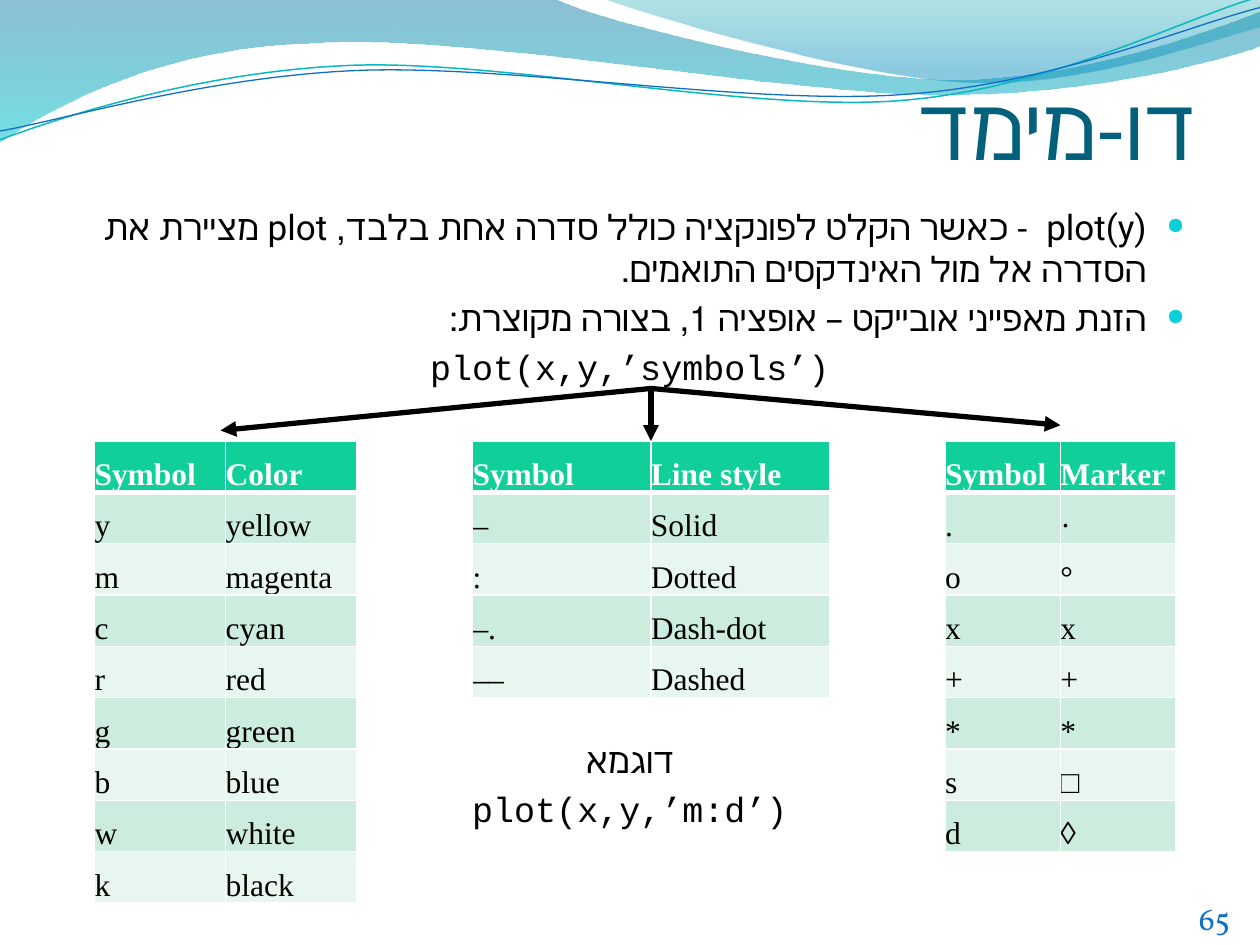
from dataclasses import dataclass

from lxml import etree
from pptx import Presentation
from pptx.dml.color import RGBColor
from pptx.enum.shapes import MSO_CONNECTOR
from pptx.enum.text import MSO_ANCHOR, MSO_AUTO_SIZE, PP_ALIGN
from pptx.oxml.ns import qn
from pptx.util import Emu, Inches, Pt

BOTTOM, NO_FIT = MSO_ANCHOR.BOTTOM, MSO_AUTO_SIZE.NONE
LEFT, CENTER, RIGHT = PP_ALIGN.LEFT, PP_ALIGN.CENTER, PP_ALIGN.RIGHT
STRAIGHT = MSO_CONNECTOR.STRAIGHT

WHITE = RGBColor(0xFF, 0xFF, 0xFF)
BLACK = RGBColor(0x00, 0x00, 0x00)
TITLE_BLUE = RGBColor(0x04, 0x61, 0x7B)
PAGE_BLUE = RGBColor(0x0F, 0x6F, 0xC6)
TEAL = RGBColor(0x0A, 0xB8, 0xBF)
BULLET = RGBColor(0x0B, 0xD0, 0xD9)
HEADER = RGBColor(0x10, 0xCF, 0x9B)
BANDS = (RGBColor(0xCC, 0xED, 0xDE), RGBColor(0xE7, 0xF6, 0xEF))
WAVE_DEEP = RGBColor(0x00, 0x74, 0xA1)
WAVE_LIGHT = RGBColor(0x00, 0xC6, 0xCF)
CREST_DEEP = RGBColor(0x00, 0xA1, 0xA9)
CREST_LIGHT = RGBColor(0x00, 0x8B, 0xBF)

SANS, SERIF, MONO, PAGE_FONT = "Roboto", "Times New Roman", "Courier New", "Vollkorn"
WIDTH, HEIGHT = Inches(10), Inches(7.5)
UNIT = WIDTH / 120  # the slide is a grid of 120 columns by 90 rows
ROW_UNITS = 4.89


@dataclass
class Stop:
    position: float
    color: RGBColor
    opacity: int


@dataclass
class Wave:
    """Points in inches: a pair is a corner, six numbers are a Bezier curve."""
    points: list
    stops: tuple = ()
    line: RGBColor | None = None
    weight: float = 0


@dataclass
class SymbolTable:
    col: float
    width: float
    rows: list


@dataclass
class Line:
    text: str
    font: str = SANS
    align: PP_ALIGN = CENTER
    bullet: bool = False


WAVES = [
    Wave([(0, 0), (4.4, -0.01), (4.76, 0.17, 6.64, 0.63, 7.58, 0.63),
          (8.53, 0.63, 9.58, 0.26, 10, 0.09), (10.01, 0.36),
          (9.83, 0.44, 8.7, 0.76, 7.46, 0.75), (6.22, 0.75, 3.82, 0.28, 2.57, 0.34),
          (1.29, 0.36, 0.46, 0.83, -0.01, 1.13)],
         (Stop(0, WAVE_DEEP, 45), Stop(1, WAVE_LIGHT, 55))),
    Wave([(4.79, -0.01), (5.09, 0.11, 6.82, 0.62, 7.69, 0.65),
          (8.56, 0.69, 9.61, 0.32, 10, 0.21), (10, 0)],
         (Stop(0, CREST_DEEP, 30), Stop(0.8, CREST_LIGHT, 45))),
    Wave([(0, 1.11), (0.48, 0.93, 1.58, 0.57, 2.77, 0.52),
          (3.95, 0.47, 5.93, 0.89, 7.13, 0.8), (8.33, 0.71, 9.38, 0.15, 9.98, -0.02)],
         line=TEAL, weight=0.85),
    Wave([(0, 1.04), (0.47, 0.96, 1.64, 0.61, 2.83, 0.56),
          (4.03, 0.51, 5.97, 0.84, 7.17, 0.75), (8.36, 0.67, 9.41, 0.21, 10, 0.06)],
         line=PAGE_BLUE, weight=0.75),
]
TABLES = [
    SymbolTable(9, 25, [("Symbol", "Color"), ("y", "yellow"), ("m", "magenta"), ("c", "cyan"),
                        ("r", "red"), ("g", "green"), ("b", "blue"), ("w", "white"),
                        ("k", "black")]),
    SymbolTable(45, 34, [("Symbol", "Line style"), ("–", "Solid"), (":", "Dotted"),
                         ("–.", "Dash-dot"), ("––", "Dashed")]),
    SymbolTable(90, 22, [("Symbol", "Marker"), (".", "·"), ("o", "°"), ("x", "x"), ("+", "+"),
                         ("*", "*"), ("s", "□"), ("d", "◊")]),
]
INTRO = [
    Line("plot(y)  - כאשר הקלט לפונקציה כולל סדרה אחת בלבד, plot מציירת את הסדרה "
         "אל מול האינדקסים התואמים.", align=RIGHT, bullet=True),
    Line("הזנת מאפייני אובייקט – אופציה 1, בצורה מקוצרת:", align=RIGHT, bullet=True),
    Line("plot(x,y,’symbols’)", MONO),
]
EXAMPLE = [Line("דוגמא"), Line("plot(x,y,’m:d’)", MONO)]
ARROW_START = (62, 37)
ARROW_ENDS = [(101, 40.5), (62, 42), (21, 41)]


def grid(*units: float) -> list[Emu]:
    return [Emu(round(u * UNIT)) for u in units]


def add_xml(parent, tag: str, **attributes):
    return etree.SubElement(parent, qn(tag), attributes)


def format_paragraph(p, font: str, size: float, color: RGBColor, align=LEFT, bold=False):
    p.alignment = align
    for r in p.runs:
        f = r.font
        f.name, f.size, f.bold, f.color.rgb = font, Pt(size), bold, color


def bend_curves(sp, points: list):
    """Merge each curve's three straight segments into one Bezier segment."""
    segments = iter(list(sp._element.spPr.iter(qn("a:lnTo"))))
    for point in points[1:]:
        segment = next(segments)
        if len(point) == 6:
            segment.tag = qn("a:cubicBezTo")
            for extra in (next(segments), next(segments)):
                segment.append(extra[0])
                extra.getparent().remove(extra)


def draw_wave(slide, wave: Wave):
    start, *rest = [(Inches(p[i]), Inches(p[i + 1]))
                    for p in wave.points for i in range(0, len(p), 2)]
    builder = slide.shapes.build_freeform(*start)
    builder.add_line_segments(rest, close=bool(wave.stops))
    sp = builder.convert_to_shape()
    bend_curves(sp, wave.points)
    sp.shadow.inherit = False
    if not wave.stops:
        sp.fill.background()
        sp.line.color.rgb, sp.line.width = wave.line, Pt(wave.weight)
        return
    sp.line.fill.background()
    sp.fill.gradient()
    sp.fill.gradient_angle = 270
    for gs, stop in zip(sp.fill.gradient_stops, wave.stops):
        gs.position, gs.color.rgb = stop.position, stop.color
    for color, stop in zip(sp._element.spPr.iter(qn("a:srgbClr")), wave.stops):
        add_xml(color, "a:alpha", val=str(stop.opacity * 1000))


def draw_text(slide, top: float, height: float, lines: list[Line]):
    tf = slide.shapes.add_textbox(*grid(6, top, 108, height)).text_frame
    tf.word_wrap = True
    tf.text = "\n".join(line.text for line in lines)
    indent = Inches(0.3)
    for p, line in zip(tf.paragraphs, lines):
        format_paragraph(p, line.font, 20, BLACK, line.align)
        p.space_before = Pt(4)
        pPr = p._p.get_or_add_pPr()
        for name, value in (("marL", indent), ("indent", -indent), ("rtl", 1)):
            pPr.set(name, str(value))
        if line.bullet:
            add_xml(add_xml(pPr, "a:buClr"), "a:srgbClr", val=str(BULLET))
            add_xml(pPr, "a:buSzPct", val="65000")
            add_xml(pPr, "a:buChar", char="●")
        else:
            add_xml(pPr, "a:buNone")


def draw_table(slide, symbols: SymbolTable):
    rows = symbols.rows
    box = grid(symbols.col, 42, symbols.width, ROW_UNITS * len(rows))
    table = slide.shapes.add_table(len(rows), 2, *box).table
    for i, row in enumerate(rows):
        header = i == 0
        for cell, text in zip(table.rows[i].cells, row):
            cell.text = text
            cell.margin_left = cell.margin_right = cell.margin_top = cell.margin_bottom = 0
            cell.vertical_anchor = BOTTOM
            format_paragraph(cell.text_frame.paragraphs[0], SERIF, 18,
                             WHITE if header else BLACK, bold=header)
            for side in "LRTB":
                thick = (header and side == "B") or (i == 1 and side == "T")
                ln = add_xml(cell._tc.get_or_add_tcPr(), f"a:ln{side}",
                             w=str(Pt(3 if thick else 1)))
                add_xml(add_xml(ln, "a:solidFill"), "a:srgbClr", val=str(WHITE))
            cell.fill.solid()
            cell.fill.fore_color.rgb = HEADER if header else BANDS[(i - 1) % 2]


def draw_arrow(slide, end: tuple[float, float]):
    arrow = slide.shapes.add_connector(STRAIGHT, *grid(*ARROW_START, *end))
    arrow.line.color.rgb, arrow.line.width = BLACK, Pt(3)
    add_xml(arrow.line._get_or_add_ln(), "a:tailEnd", type="triangle")
    add_xml(arrow._element.spPr, "a:effectLst")


def main():
    prs = Presentation()
    prs.slide_width, prs.slide_height = WIDTH, HEIGHT
    slide = prs.slides.add_slide(prs.slide_layouts[5])
    for wave in WAVES:
        draw_wave(slide, wave)

    title = slide.shapes.title
    title.left, title.top, title.width, title.height = grid(6, 0, 108, 17)
    tf = title.text_frame
    tf.text = "דו-מימד"
    tf.auto_size, tf.vertical_anchor = NO_FIT, BOTTOM
    tf.margin_left = tf.margin_right = tf.margin_bottom = 0
    format_paragraph(tf.paragraphs[0], SANS, 50, TITLE_BLUE, RIGHT)
    tf.paragraphs[0]._p.get_or_add_pPr().set("rtl", "1")

    draw_text(slide, 19, 18, INTRO)
    draw_text(slide, 69.7, 10, EXAMPLE)
    for symbols in TABLES:
        draw_table(slide, symbols)
    for end in ARROW_ENDS:
        draw_arrow(slide, end)

    page = slide.shapes.add_textbox(*grid(113, 85, 7, 4.8)).text_frame
    page.text = "65"
    format_paragraph(page.paragraphs[0], PAGE_FONT, 18, PAGE_BLUE)
    prs.save("out.pptx")


if __name__ == "__main__":
    main()
